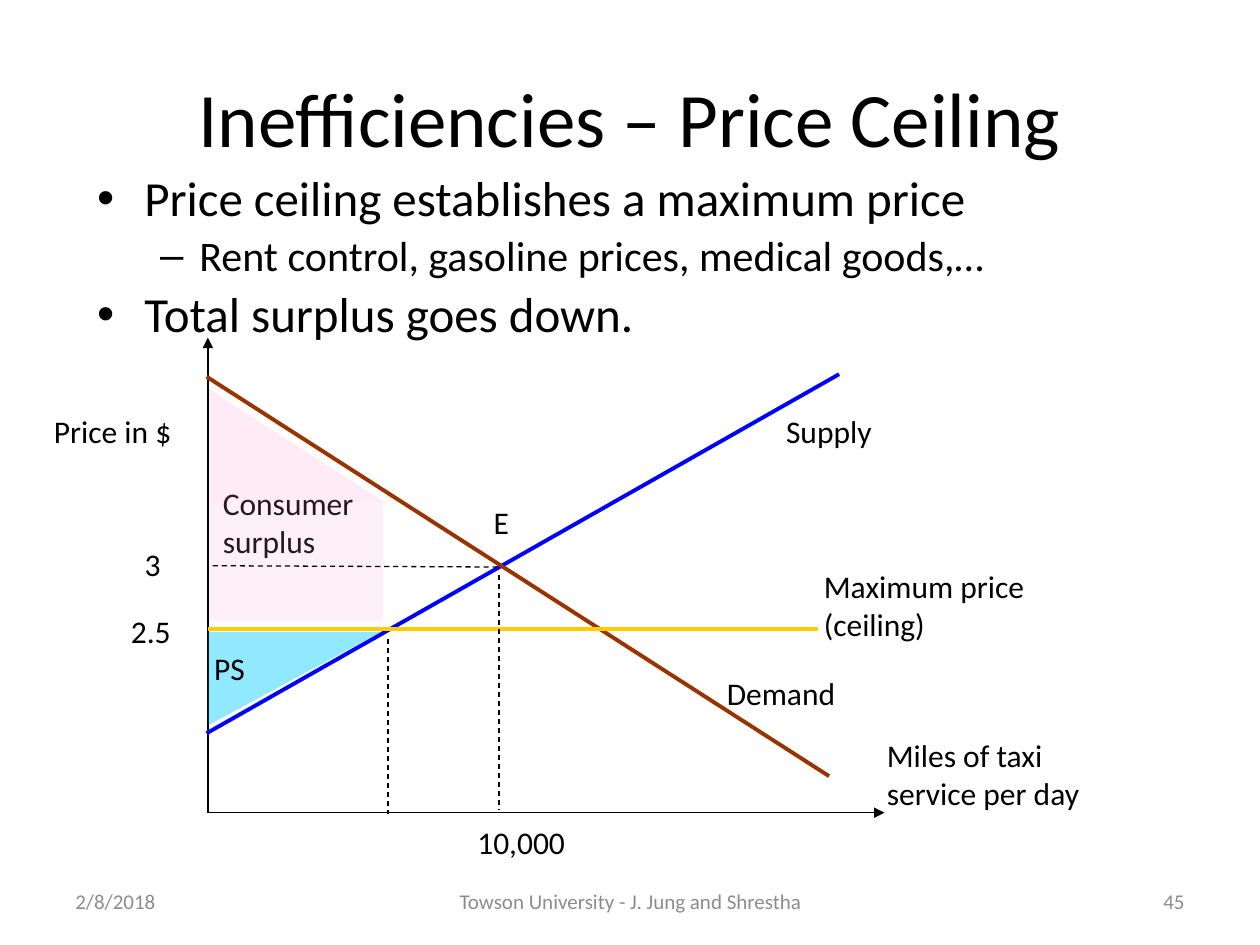
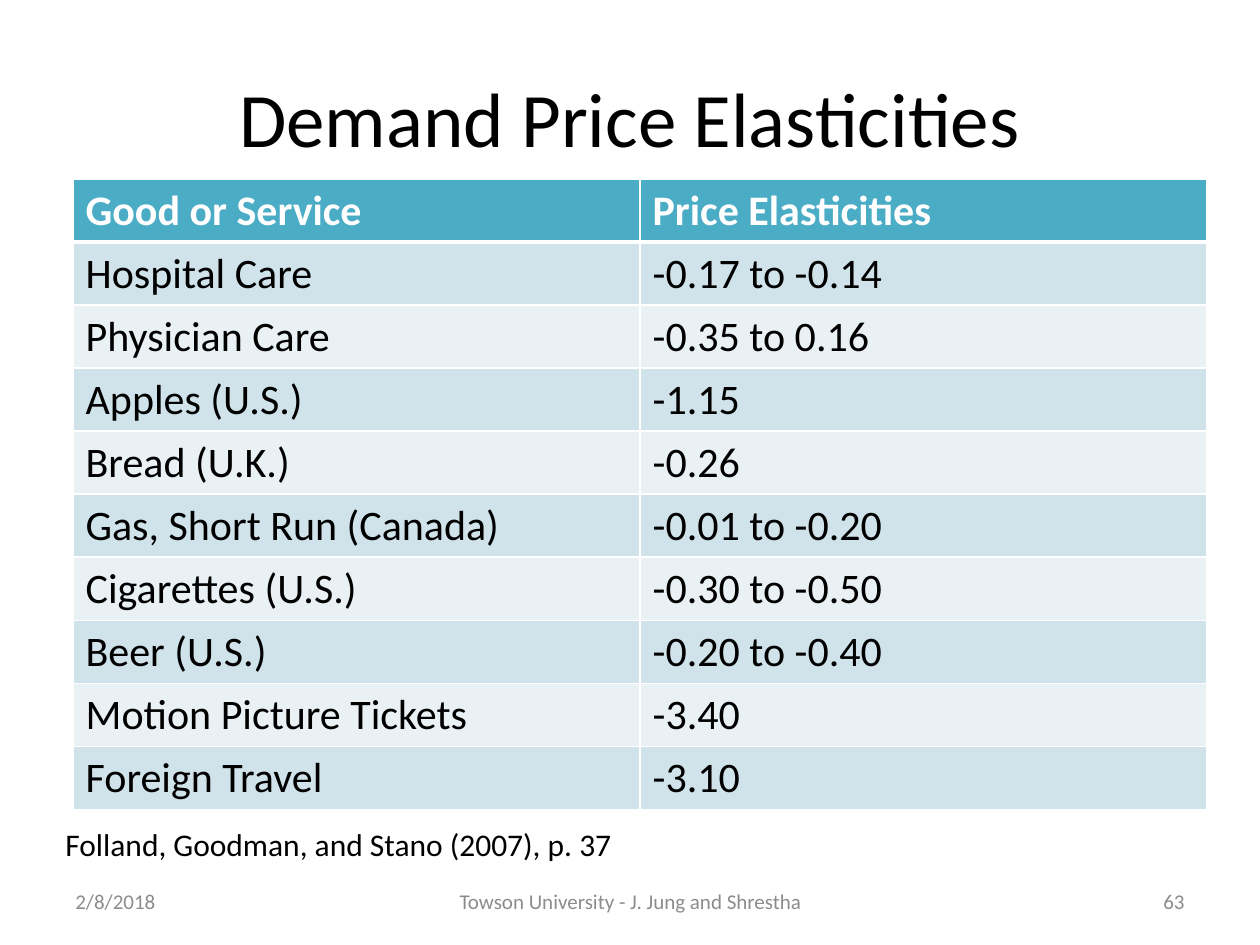
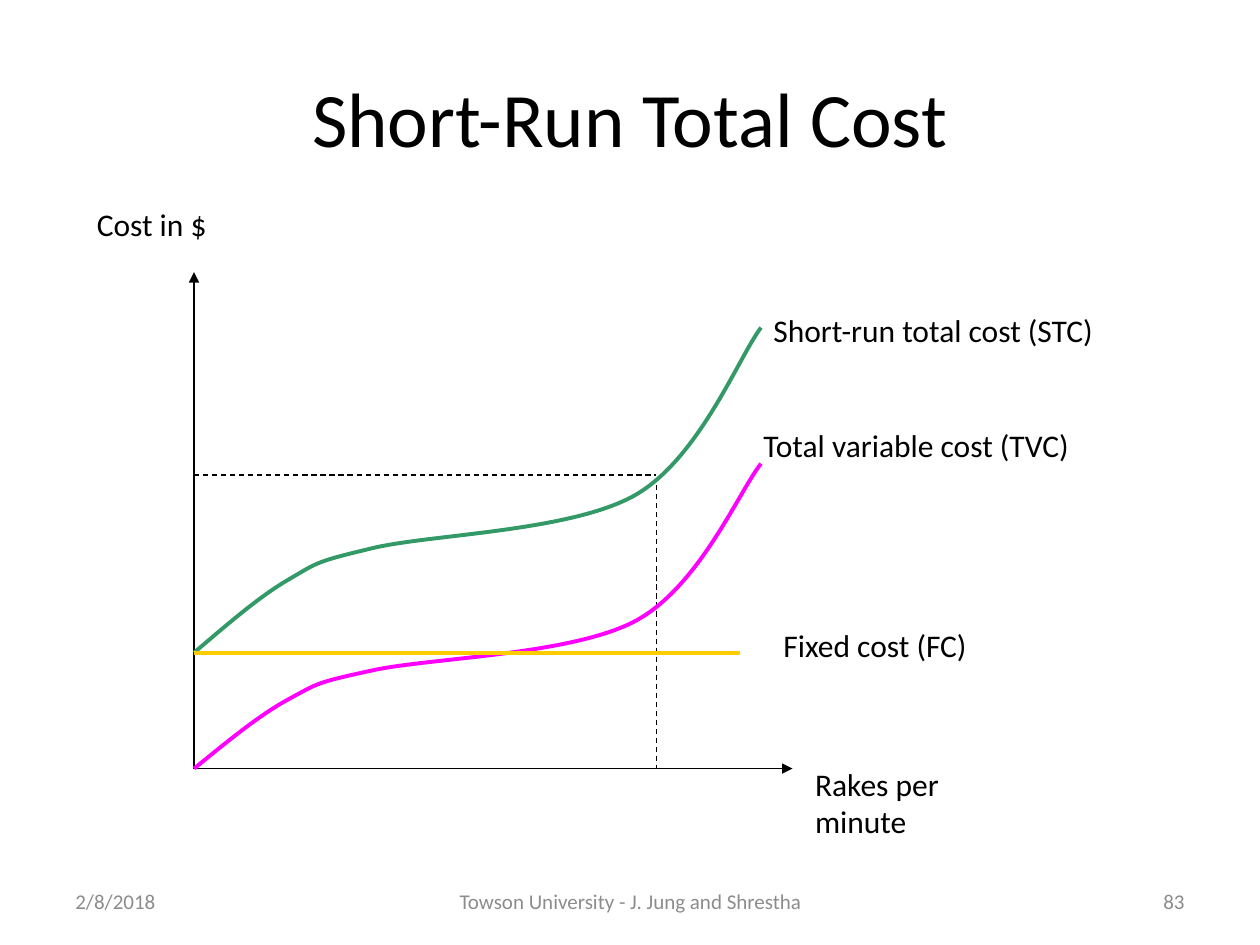
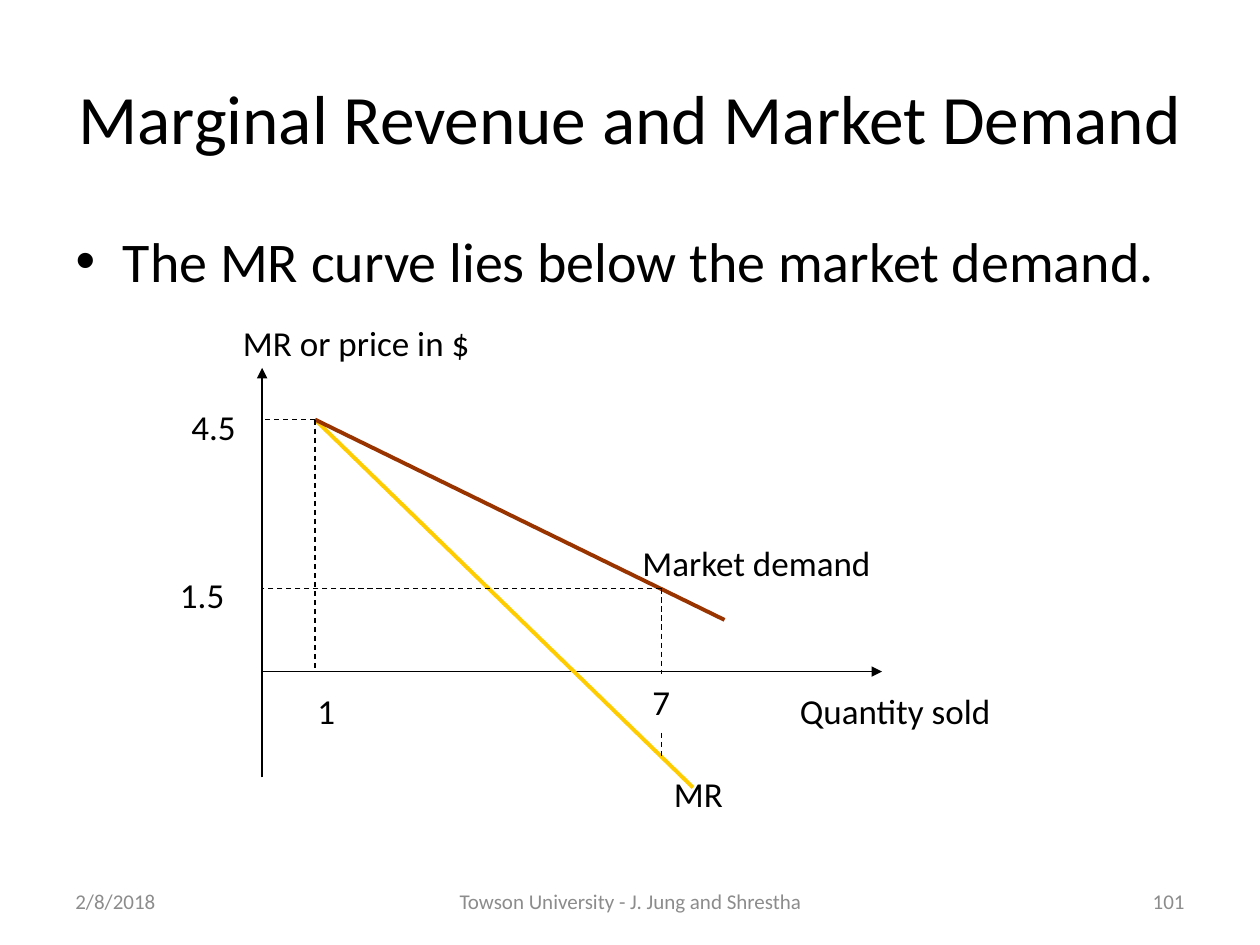
from dataclasses import dataclass

from lxml.etree import SubElement
from pptx import Presentation
from pptx.dml.color import RGBColor
from pptx.enum.dml import MSO_LINE
from pptx.enum.shapes import MSO_CONNECTOR, MSO_SHAPE
from pptx.enum.text import MSO_ANCHOR, MSO_AUTO_SIZE, PP_ALIGN
from pptx.oxml.ns import qn
from pptx.util import Inches, Pt

CONTENT_LAYOUT = 1
TITLE_ONLY_LAYOUT = 5


@dataclass(frozen=True)
class Theme:
    font: str = "Calibri"
    text: str = "000000"
    muted: str = "8C8C8C"
    white: str = "FFFFFF"
    supply: str = "0000FF"
    demand: str = "993300"
    highlight: str = "FFCC00"
    variable_cost: str = "FF00FF"
    total_cost: str = "339966"
    consumer_surplus: str = "FF99CC"
    producer_surplus: str = "00CCFF"
    header: str = "4BACC6"
    bands: tuple = ("E9F1F5", "D0E3EA")
    title_size: float = 44
    long_title_size: float = 39.6
    body_size: float = 32
    table_size: float = 24
    label_size: float = 18
    large_label_size: float = 20
    footer_size: float = 12
    thin: float = 0.75
    thick: float = 2.25


class Deck:
    def __init__(self, theme):
        self.theme = theme
        self.presentation = Presentation()
        self.presentation.slide_width = Inches(10)
        self.presentation.slide_height = Inches(7.5)
        self.slide = None
        self.label_size = theme.label_size

    def start_slide(self, title, number, layout=TITLE_ONLY_LAYOUT, title_size=None, label_size=None):
        layouts = self.presentation.slide_layouts
        self.slide = self.presentation.slides.add_slide(layouts[layout])
        self.label_size = label_size or self.theme.label_size
        shape = self.slide.shapes.title
        self.place(shape, 0.5, 0.3, 9, 1.25)
        frame = shape.text_frame
        frame.text = title
        frame.auto_size = MSO_AUTO_SIZE.NONE
        frame.vertical_anchor = MSO_ANCHOR.MIDDLE
        self.style(frame.paragraphs[0], title_size or self.theme.title_size, align=PP_ALIGN.CENTER)
        self.footer(number)

    def footer(self, number):
        parts = (
            ("2/8/2018", 0.5, 2.33, PP_ALIGN.LEFT),
            ("Towson University - J. Jung and Shrestha", 3.42, 3.17, PP_ALIGN.CENTER),
            (str(number), 7.17, 2.33, PP_ALIGN.RIGHT),
        )
        for text, left, width, align in parts:
            shape = self.label(text, left, 6.95, width, 0.4, self.theme.footer_size, self.theme.muted, align)
            shape.text_frame.vertical_anchor = MSO_ANCHOR.MIDDLE

    def place(self, shape, left, top, width, height):
        shape.left, shape.top = Inches(left), Inches(top)
        shape.width, shape.height = Inches(width), Inches(height)

    def style(self, paragraph, size, color=None, align=None, bold=None):
        paragraph.alignment = align
        paragraph.font.name = self.theme.font
        paragraph.font.size = Pt(size)
        paragraph.font.bold = bold
        paragraph.font.color.rgb = RGBColor.from_string(color or self.theme.text)

    def bullets(self, items, left, top, width, height, line_spacing=None):
        shape = self.slide.placeholders[1]
        self.place(shape, left, top, width, height)
        frame = shape.text_frame
        frame.text = "\n".join(text for text, level, size in items)
        frame.auto_size = MSO_AUTO_SIZE.NONE
        for paragraph, (text, level, size) in zip(frame.paragraphs, items):
            paragraph.level = level
            paragraph.line_spacing = line_spacing
            self.style(paragraph, size)

    def label(self, text, left, top, width, height=0.4, size=None, color=None, align=None, fill=None):
        shape = self.slide.shapes.add_textbox(Inches(left), Inches(top), Inches(width), Inches(height))
        shape.text_frame.word_wrap = True
        shape.text_frame.text = text
        self.style(shape.text_frame.paragraphs[0], size or self.label_size, color, align)
        if fill:
            shape.fill.solid()
            shape.fill.fore_color.rgb = RGBColor.from_string(fill)
        return shape

    def labels(self, items, height=0.4):
        for text, left, top, width in items:
            self.label(text, left, top, width, height)

    def line(self, start, end, color=None, width=None):
        points = [Inches(value) for value in (*start, *end)]
        connector = self.slide.shapes.add_connector(MSO_CONNECTOR.STRAIGHT, *points)
        connector.line.color.rgb = RGBColor.from_string(color or self.theme.text)
        connector.line.width = Pt(width or self.theme.thick)
        SubElement(connector._element.spPr, qn("a:effectLst"))
        return connector

    def arrow(self, start, end):
        connector = self.line(start, end, width=self.theme.thin)
        SubElement(connector.line._get_or_add_ln(), qn("a:tailEnd"), type="triangle")

    def dashed(self, start, end):
        connector = self.line(start, end, width=self.theme.thin)
        connector.line.dash_style = MSO_LINE.DASH

    def area(self, kind, left, top, width, height, color, opacity, rotation=0):
        shape = self.slide.shapes.add_shape(kind, Inches(left), Inches(top), Inches(width), Inches(height))
        shape.shadow.inherit = False
        shape.rotation = rotation
        shape.line.fill.background()
        shape.fill.solid()
        shape.fill.fore_color.rgb = RGBColor.from_string(color)
        color_element = shape._element.spPr.find(qn("a:solidFill"))[0]
        SubElement(color_element, qn("a:alpha"), val=str(opacity * 1000))

    def curve(self, points, color):
        (start_x, start_y), *controls = [(Inches(x), Inches(y)) for x, y in points]
        builder = self.slide.shapes.build_freeform(start_x, start_y)
        builder.add_line_segments(controls, close=False)
        shape = builder.convert_to_shape()
        shape.shadow.inherit = False
        shape.fill.background()
        shape.line.color.rgb = RGBColor.from_string(color)
        shape.line.width = Pt(self.theme.thick)
        segments = list(shape._element.iter(qn("a:lnTo")))
        for first in range(0, len(segments), 3):
            bezier = segments[first].makeelement(qn("a:cubicBezTo"))
            segments[first].addprevious(bezier)
            for segment in segments[first:first + 3]:
                bezier.append(segment[0])
                segment.getparent().remove(segment)

    def borders(self, cell, top, bottom):
        properties = cell._tc.get_or_add_tcPr()
        for side, width in (("L", 1), ("R", 1), ("T", top), ("B", bottom)):
            line = SubElement(properties, qn(f"a:ln{side}"), w=str(Pt(width)))
            fill = SubElement(line, qn("a:solidFill"))
            SubElement(fill, qn("a:srgbClr"), val=self.theme.white)

    def table(self, rows, left, top, width, row_height):
        frame = self.slide.shapes.add_table(
            len(rows), len(rows[0]), Inches(left), Inches(top), Inches(width), Inches(row_height * len(rows))
        )
        for row, texts in enumerate(rows):
            is_header = row == 0
            fill = self.theme.header if is_header else self.theme.bands[row % 2]
            color = self.theme.white if is_header else self.theme.text
            for column, text in enumerate(texts):
                cell = frame.table.cell(row, column)
                cell.text = text
                self.borders(cell, 3 if row == 1 else 1, 3 if is_header else 1)
                cell.fill.solid()
                cell.fill.fore_color.rgb = RGBColor.from_string(fill)
                self.style(cell.text_frame.paragraphs[0], self.theme.table_size, color, bold=is_header)


def add_price_ceiling(deck):
    theme = deck.theme
    deck.start_slide("Inefficiencies – Price Ceiling", 45, CONTENT_LAYOUT)
    deck.bullets(
        (
            ("Price ceiling establishes a maximum price", 0, 28),
            ("Rent control, gasoline prices, medical goods,…", 1, 24),
            ("Total surplus goes down.", 0, 28),
        ),
        0.67, 1.33, 9, 1.42, line_spacing=0.9,
    )
    origin = (1.65, 6.45)
    deck.arrow(origin, (1.65, 2.68))
    deck.arrow(origin, (7.02, 6.45))
    deck.line((1.64, 5.82), (6.66, 2.97), theme.supply)
    deck.line((1.64, 2.99), (6.58, 6.16), theme.demand)
    deck.line((6.49, 4.99), (1.65, 4.99), theme.highlight)
    deck.area(MSO_SHAPE.RIGHT_TRIANGLE, 1.97, 4.7, 0.74, 1.37, theme.producer_surplus, 43, rotation=90)
    deck.labels((
        ("PS", 1.6, 5.1, 1.61),
        ("Price in $", 0.33, 3.22, 1.79),
        ("Supply", 6.14, 3.22, 1.99),
        ("Demand", 5.67, 5.3, 1.73),
        ("E", 3.82, 3.94, 0.9),
        ("3", 1.05, 4.28, 0.66),
        ("2.5", 0.94, 4.81, 0.63),
        ("10,000", 3.69, 6.48, 1.49),
    ))
    deck.labels((
        ("Consumer surplus", 1.67, 3.79, 1.49),
        ("Miles of taxi service per day", 6.94, 5.79, 2.07),
        ("Maximum price (ceiling)", 6.44, 4.45, 2.14),
    ), height=0.7)
    deck.area(MSO_SHAPE.RECTANGLE, 1.66, 3.99, 1.38, 0.94, theme.consumer_surplus, 15)
    deck.area(MSO_SHAPE.RIGHT_TRIANGLE, 1.66, 3.09, 1.4, 0.9, theme.consumer_surplus, 19)
    deck.dashed((3.95, 4.5), (1.66, 4.49))
    deck.dashed((3.96, 4.56), (3.96, 6.43))
    deck.dashed((3.08, 5.07), (3.08, 6.46))


def add_elasticities(deck):
    deck.start_slide("Demand Price Elasticities", 63)
    deck.table(
        (
            ("Good or Service", "Price Elasticities"),
            ("Hospital Care", "-0.17 to -0.14"),
            ("Physician Care", "-0.35 to 0.16"),
            ("Apples (U.S.)", "-1.15"),
            ("Bread (U.K.)", "-0.26"),
            ("Gas, Short Run (Canada)", "-0.01 to -0.20"),
            ("Cigarettes (U.S.)", "-0.30 to -0.50"),
            ("Beer (U.S.)", "-0.20 to -0.40"),
            ("Motion Picture Tickets", "-3.40"),
            ("Foreign Travel", "-3.10"),
        ),
        0.58, 1.42, 9, 0.49,
    )
    deck.label("Folland, Goodman, and Stano (2007), p. 37", 0.42, 6.5, 6.58, 0.42)


def add_total_cost(deck):
    theme = deck.theme
    deck.start_slide("Short-Run Total Cost", 83)
    origin = (1.54, 6.1)
    deck.arrow(origin, (1.54, 2.16))
    deck.arrow(origin, (6.29, 6.1))
    deck.dashed((1.54, 3.77), (5.21, 3.77))
    deck.dashed((5.21, 3.85), (5.21, 6.1))
    curve_x = (1.54, 1.8, 2.05, 2.29, 2.53, 2.5, 2.96, 3.42, 4.53, 5.04, 5.55, 5.87, 6.04)
    variable_y = (6.1, 5.89, 5.68, 5.55, 5.42, 5.42, 5.32, 5.22, 5.2, 4.93, 4.66, 3.89, 3.68)
    total_y = (5.18, 4.96, 4.74, 4.6, 4.46, 4.46, 4.35, 4.24, 4.22, 3.93, 3.64, 2.82, 2.6)
    deck.curve(zip(curve_x, variable_y), theme.variable_cost)
    deck.curve(zip(curve_x, total_y), theme.total_cost)
    deck.line((1.54, 5.18), (5.87, 5.18), theme.highlight)
    deck.label("Rakes per minute", 6.37, 6.02, 1.42, 0.7)
    deck.labels((
        ("Cost in $", 0.67, 1.58, 1.5),
        ("Short-run total cost (STC)", 6.04, 2.42, 3.17),
        ("Total variable cost (TVC)", 5.96, 3.33, 3.25),
        ("Fixed cost (FC)", 6.12, 4.92, 2),
    ))


def add_marginal_revenue(deck):
    theme = deck.theme
    deck.start_slide(
        "Marginal Revenue and Market Demand", 101, CONTENT_LAYOUT, theme.long_title_size, theme.large_label_size
    )
    deck.bullets((("The MR curve lies below the market demand.", 0, theme.body_size),), 0.5, 1.75, 9, 0.75)
    deck.arrow((2.08, 6.17), (2.08, 2.92))
    deck.arrow((2.08, 5.33), (7, 5.33))
    first_sale, later_sale = (2.5, 3.33), (5.25, 4.67)
    deck.line(first_sale, (5.5, 6.25), theme.highlight)
    deck.line(first_sale, (5.75, 4.92), theme.demand)
    deck.dashed(later_sale, (5.25, 6))
    deck.dashed(later_sale, (2.08, 4.67))
    deck.dashed(first_sale, (2.5, 5.33))
    deck.dashed(first_sale, (2.08, 3.33))
    deck.label("7", 5.08, 5.35, 0.42, 0.44, fill=theme.white)
    deck.labels((
        ("4.5", 1.42, 3.17, 0.58),
        ("MR or price in $", 1.83, 2.5, 3.25),
        ("1.5", 1.33, 4.5, 0.75),
        ("1", 2.42, 5.42, 0.75),
        ("Market demand", 5, 4.25, 2.17),
        ("MR", 5.25, 6.08, 1.83),
        ("Quantity sold", 6.25, 5.42, 3.67),
    ), height=0.44)


def main():
    deck = Deck(Theme())
    add_price_ceiling(deck)
    add_elasticities(deck)
    add_total_cost(deck)
    add_marginal_revenue(deck)
    deck.presentation.save("out.pptx")


if __name__ == "__main__":
    main()
